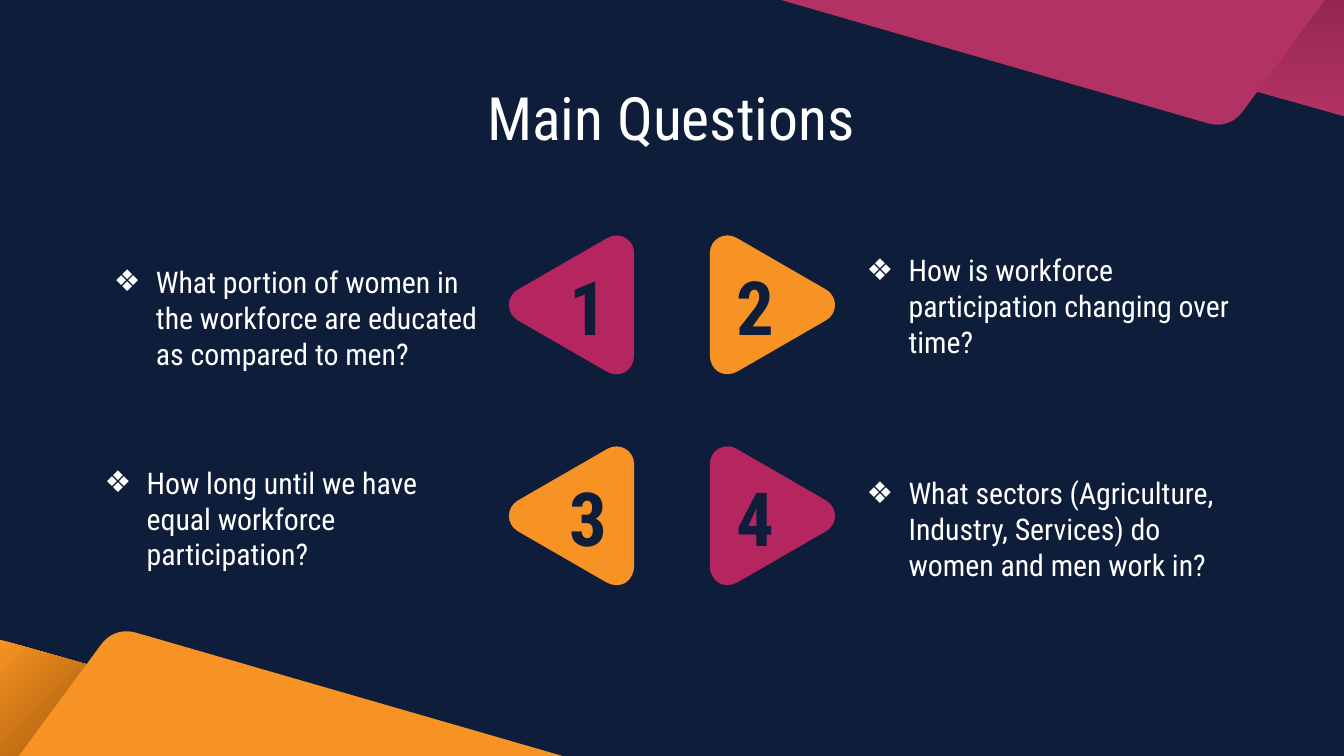
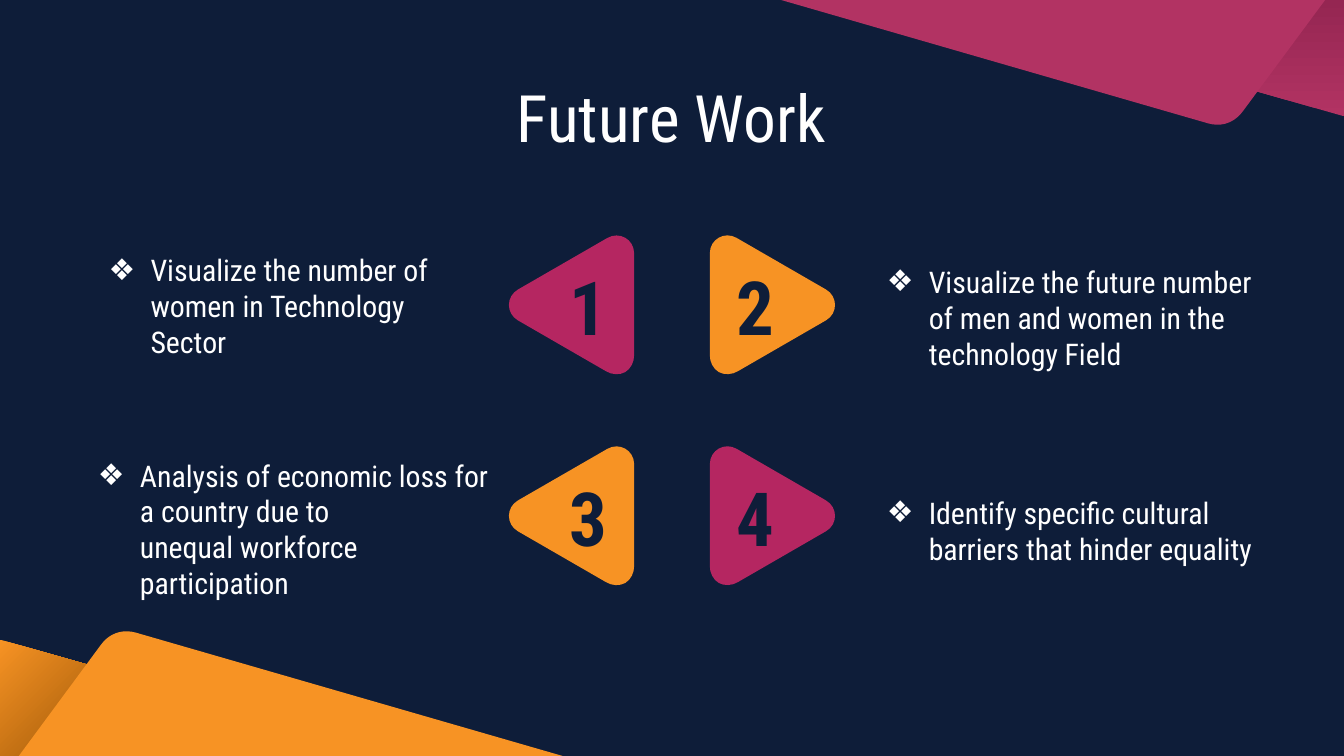
from lxml.etree import SubElement
from pptx import Presentation
from pptx.dml.color import RGBColor
from pptx.enum.text import MSO_ANCHOR as Anchor, PP_ALIGN as Align
from pptx.oxml.ns import qn
from pptx.util import Pt

WIDTH, HEIGHT = 720, 405
FONT = "Roboto Condensed"
COLORS = {
    "navy": "0E1D39",
    "white": "FFFFFF",
    "orange": "F79324",
    "brown": "A45C0A",
    "magenta": "B52661",
    "pink": "B23363",
    "plum": "952652",
}
INSET = 7.2
INDENT = 22.5
HARD_SPACE = chr(160)

WEDGE = [[(0, 342.7)], [(0, 405)], [(12, 405)], [(47.4, 356.2)]]
BAND = [
    [(67.7, 338.2)],
    [(62.4, 338.2), (57.4, 340.8), (54, 345.6)],
    [(10.1, 405)],
    [(301.5, 405)],
    [(72.7, 338.9)],
    [(71.1, 338.4), (69.4, 338.2), (67.7, 338.2)],
]
TRIANGLE = [
    [(-27.6, -33.5)],
    [(27.6, -33.5)],
    [(35.1, -33.5), (39.6, -25.7), (36, -19.3)],
    [(8.7, 28)],
    [(7, 31.2), (3.4, 33.5), (0, 33.5)],
    [(-3.4, 33.5), (-7, 31.2), (-8.7, 28)],
    [(-36, -19.3)],
    [(-39.6, -25.7), (-35.1, -33.5), (-27.6, -33.5)],
]

TRIANGLE_ROWS = (170.3, 283.3)
TRIANGLE_COLUMNS = ((318.2, 330, 298.1), (401.8, 30, 387.4))
TRIANGLE_COLORS = ("magenta", "orange", "orange", "magenta")

SLIDES = [
    {
        "title": "Main Questions",
        "size": 32,
        "items": [
            (54, 138.2, 213.8, "What portion of women in the workforce are educated as compared to men?"),
            (457.2, 131.8, 216, "How is workforce participation changing over time?~"),
            (49, 245.5, 218.9, "How long until we have equal workforce participation?"),
            (457.2, 251.3, 216, "What sectors (Agriculture, Industry, Services) do women and men~work in?~"),
        ],
    },
    {
        "title": "Future Work",
        "size": 35,
        "items": [
            (51.1, 131.8, 213.8, "Visualize the number of women in Technology Sector"),
            (468, 138.2, 216, "Visualize the future number of men and women in the technology Field"),
            (45.4, 251.3, 225.4, "Analysis of economic loss for a~country due to unequal~workforce participation"),
            (468, 252, 216, "Identify specific cultural barriers that hinder equality~"),
        ],
    },
]


def color(name):
    """Return the named colour as an RGB value."""
    return RGBColor.from_string(COLORS[name])


def apply_format(target, values):
    """Set each attribute named in a dict of format values."""
    for name, value in values.items():
        setattr(target, name, value)


def add_outline(slide, segments):
    """Add a closed outline of lines and cubic curves without line or shadow."""
    corners = [(Pt(x), Pt(y)) for segment in segments for x, y in segment]
    builder = slide.shapes.build_freeform(*corners[0], scale=1.0)
    builder.add_line_segments(corners[1:], close=True)
    shape = builder.convert_to_shape()
    shape.shadow.inherit = False
    shape.line.fill.background()
    bend_outline(shape, segments)
    return shape


def bend_outline(shape, segments):
    """Join each run of three line ends that stands for a curve into one curve."""
    lines = iter(list(shape._element.iter(qn("a:lnTo"))))
    for segment in segments[1:]:
        first, *others = [next(lines) for _ in segment]
        if others:
            first.tag = qn("a:cubicBezTo")
            for line in others:
                first.append(line[0])
                line.getparent().remove(line)


def fill_solid(shape, name):
    """Fill a shape with one colour."""
    shape.fill.solid()
    shape.fill.fore_color.rgb = color(name)


def fill_gradient(shape, names, angle):
    """Fill a shape with a linear gradient between two colours."""
    shape.fill.gradient()
    shape.fill.gradient_angle = angle
    for stop, name, position in zip(shape.fill.gradient_stops, names, (0, 1)):
        stop.color.rgb = color(name)
        stop.position = position


def add_corner(slide, ribbon_colors, angle, turned=False):
    """Add a folded ribbon at the lower left, or turned to the upper right."""
    wedge, band = (
        [[(WIDTH - x, HEIGHT - y) if turned else (x, y) for x, y in segment] for segment in outline]
        for outline in (WEDGE, BAND)
    )
    fill_gradient(add_outline(slide, wedge), ribbon_colors, angle)
    fill_solid(add_outline(slide, band), ribbon_colors[0])


def add_text(slide, box, text, size, fill="white", bold=False, align=Align.CENTER, bullet=None):
    """Add a vertically centred text box, with a bullet if one is given."""
    shape = slide.shapes.add_textbox(*map(Pt, box))
    frame = shape.text_frame
    apply_format(frame, {"word_wrap": True, "vertical_anchor": Anchor.MIDDLE})
    apply_format(frame, {f"margin_{side}": Pt(INSET) for side in ("left", "top", "right", "bottom")})
    paragraph = frame.paragraphs[0]
    paragraph.alignment = align
    if bullet:
        add_bullet(paragraph, bullet, fill)
    run = paragraph.add_run()
    run.text = text.replace("~", HARD_SPACE)
    apply_format(run.font, {"name": FONT, "size": Pt(size), "bold": bold})
    run.font.color.rgb = color(fill)


def add_bullet(paragraph, character, fill):
    """Give a paragraph a hanging bullet."""
    properties = paragraph._p.get_or_add_pPr()
    properties.set("marL", str(Pt(INDENT)))
    properties.set("indent", str(-Pt(INDENT)))
    bullet_color = SubElement(properties, qn("a:buClr"))
    SubElement(bullet_color, qn("a:srgbClr"), val=COLORS[fill])
    SubElement(properties, qn("a:buFont"), typeface=FONT)
    SubElement(properties, qn("a:buChar"), char=character)


def add_triangle(slide, center_x, center_y, rotation, fill):
    """Add a rounded triangle turned about its centre."""
    segments = [[(center_x + x, center_y + y) for x, y in segment] for segment in TRIANGLE]
    shape = add_outline(slide, segments)
    fill_solid(shape, fill)
    shape.rotation = rotation


def add_item(slide, index, item):
    """Add one numbered triangle with its bulleted statement."""
    row, column = divmod(index, 2)
    center_x, rotation, number_left = TRIANGLE_COLUMNS[column]
    center_y = TRIANGLE_ROWS[row]
    add_triangle(slide, center_x, center_y, rotation, TRIANGLE_COLORS[index])
    add_text(slide, (number_left, center_y - 23.4, 28.1, 33.8), str(index + 1), 40, "navy", bold=True)
    left, top, width, text = item
    add_text(slide, (left, top, width, 64.1), text, 16, align=Align.LEFT, bullet="❖")


def add_slide(presentation, content):
    """Add a slide with ribbons, a title and four numbered items."""
    slide = presentation.slides.add_slide(presentation.slide_layouts[6])
    slide.background.fill.solid()
    slide.background.fill.fore_color.rgb = color("navy")
    add_corner(slide, ("orange", "brown"), 315)
    add_corner(slide, ("pink", "plum"), 90, turned=True)
    add_text(slide, (223.9, 42.5, 271.4, 39.6), content["title"], content["size"])
    for index, item in enumerate(content["items"]):
        add_item(slide, index, item)


def main():
    """Build and save the presentation."""
    presentation = Presentation()
    apply_format(presentation, {"slide_width": Pt(WIDTH), "slide_height": Pt(HEIGHT)})
    for content in SLIDES:
        add_slide(presentation, content)
    presentation.save("out.pptx")


if __name__ == "__main__":
    main()
